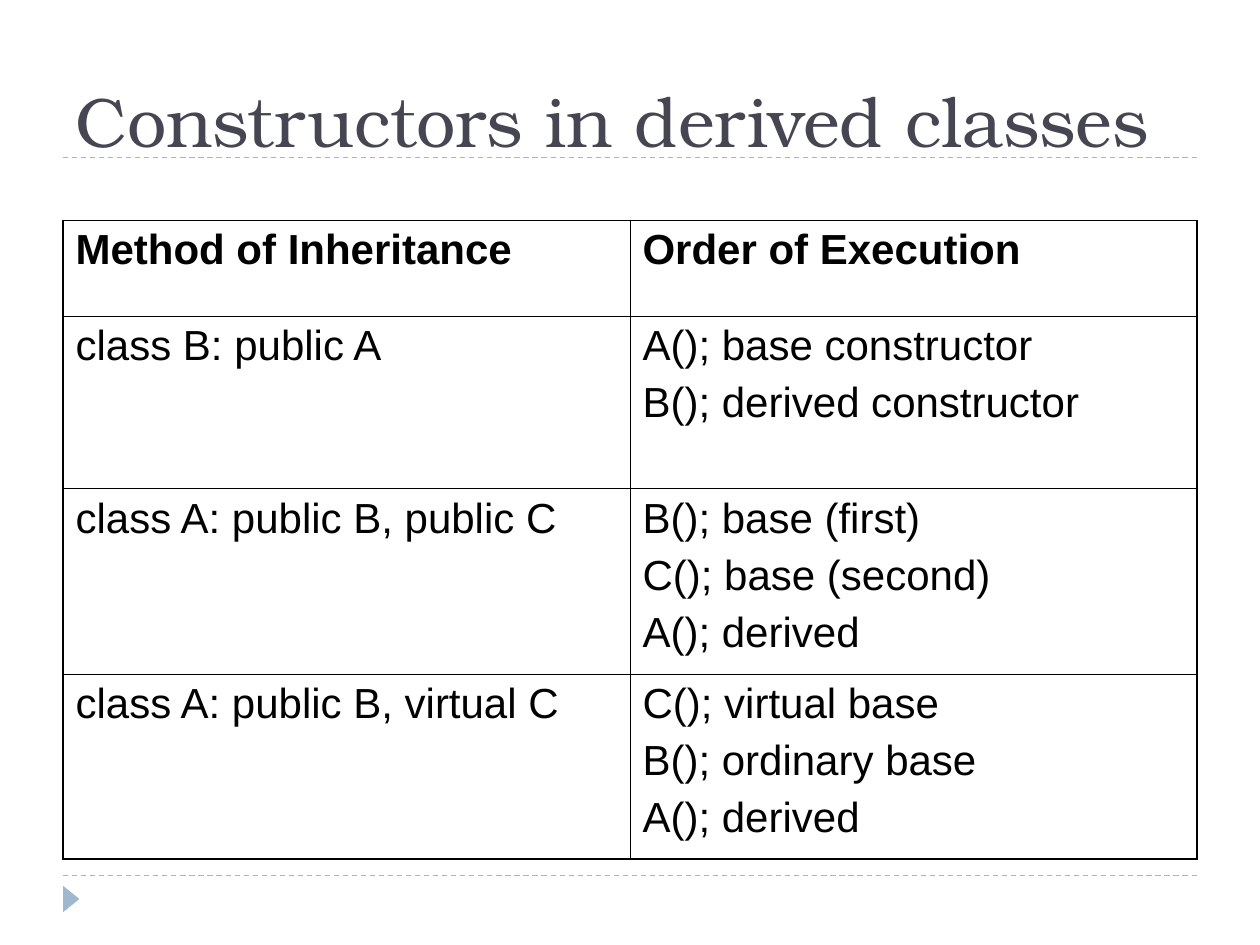
"""Build a slide on the order of constructor execution in derived classes."""
from dataclasses import dataclass

from lxml import etree
from pptx import Presentation
from pptx.dml.color import RGBColor
from pptx.enum.dml import MSO_LINE
from pptx.enum.shapes import MSO_CONNECTOR, MSO_SHAPE
from pptx.enum.text import MSO_ANCHOR, MSO_AUTO_SIZE, PP_ALIGN
from pptx.oxml.ns import qn
from pptx.util import Inches, Pt

DASH = MSO_LINE.DASH
STRAIGHT = MSO_CONNECTOR.STRAIGHT
TRIANGLE = MSO_SHAPE.ISOSCELES_TRIANGLE
BOTTOM = MSO_ANCHOR.BOTTOM
NO_AUTOFIT = MSO_AUTO_SIZE.NONE
LEFT = PP_ALIGN.LEFT


@dataclass(frozen=True)
class Theme:
    heading: RGBColor = RGBColor(0x46, 0x46, 0x53)
    text: RGBColor = RGBColor(0, 0, 0)
    accent: RGBColor = RGBColor(0x9F, 0xB8, 0xCD)
    border: str = "000000"
    heading_font: str = "TeX Gyre Bonum"
    text_font: str = "Arial"
    heading_size: Pt = Pt(40)
    text_size: Pt = Pt(24)
    rule: Pt = Pt(0.75)
    outer: Pt = Pt(1.08)
    inner: Pt = Pt(0.45)


THEME = Theme()
ORDERS = [
    ("Method of Inheritance", ["Order of Execution"], 0.76),
    ("class B: public A", ["A(); base constructor", "B(); derived constructor"], 1.37),
    ("class A: public B, public C",
     ["B(); base (first)", "C(); base (second)", "A(); derived"], 1.47),
    ("class A: public B, virtual C",
     ["C(); virtual base", "B(); ordinary base", "A(); derived"], 1.47),
]


def set_font(paragraph, name, size, color, bold=False):
    for run in paragraph.runs:
        run.font.name = name
        run.font.size = size
        run.font.color.rgb = color
        run.font.bold = bold


def set_borders(cell, outer_sides):
    properties = cell._tc.get_or_add_tcPr()
    for position, side in enumerate("LRTB"):
        width = THEME.outer if side in outer_sides else THEME.inner
        border = etree.Element(qn(f"a:ln{side}"), w=str(int(width)))
        fill = etree.SubElement(border, qn("a:solidFill"))
        etree.SubElement(fill, qn("a:srgbClr"), val=THEME.border)
        properties.insert(position, border)


deck = Presentation()
deck.slide_width, deck.slide_height = Inches(10), Inches(7.5)
slide = deck.slides.add_slide(deck.slide_layouts[5])

for rule_y in (6.95, 1.25):
    rule = slide.shapes.add_connector(
        STRAIGHT, Inches(0.5), Inches(rule_y), Inches(9.5), Inches(rule_y))
    rule.line.color.rgb = THEME.accent
    rule.line.width = THEME.rule
    rule.line.dash_style = DASH
    etree.SubElement(rule._element.spPr, qn("a:effectLst"))

marker = slide.shapes.add_shape(
    TRIANGLE, Inches(0.46), Inches(7.07), Inches(0.21), Inches(0.13))
marker.rotation = 90
marker.shadow.inherit = False
marker.fill.solid()
marker.fill.fore_color.rgb = THEME.accent
marker.line.fill.background()

heading = slide.shapes.title
heading.left, heading.top = Inches(0.5), Inches(0.5)
heading.width, heading.height = Inches(9), Inches(0.83)
heading.text_frame.text = "Constructors in derived classes"
heading.text_frame.auto_size = NO_AUTOFIT
heading.text_frame.vertical_anchor = BOTTOM
heading.text_frame.paragraphs[0].alignment = LEFT
set_font(heading.text_frame.paragraphs[0],
         THEME.heading_font, THEME.heading_size, THEME.heading)

orders = slide.shapes.add_table(
    len(ORDERS), 2, Inches(0.5), Inches(1.75), Inches(9), Inches(5.07)).table
orders.first_row = False
orders.horz_banding = False

for row, (method, steps, height) in enumerate(ORDERS):
    orders.rows[row].height = Inches(height)
    for column, lines in enumerate(([method], steps)):
        cell = orders.cell(row, column)
        cell.fill.background()
        cell.text_frame.text = "\n".join(lines)
        for index, paragraph in enumerate(cell.text_frame.paragraphs):
            paragraph.space_before = Pt(6 if index else 0)
            set_font(paragraph, THEME.text_font, THEME.text_size,
                     THEME.text, bold=row == 0)
        outer_sides = "LR"[column]
        if row == 0:
            outer_sides += "T"
        if row == len(ORDERS) - 1:
            outer_sides += "B"
        set_borders(cell, outer_sides)

deck.save("out.pptx")
